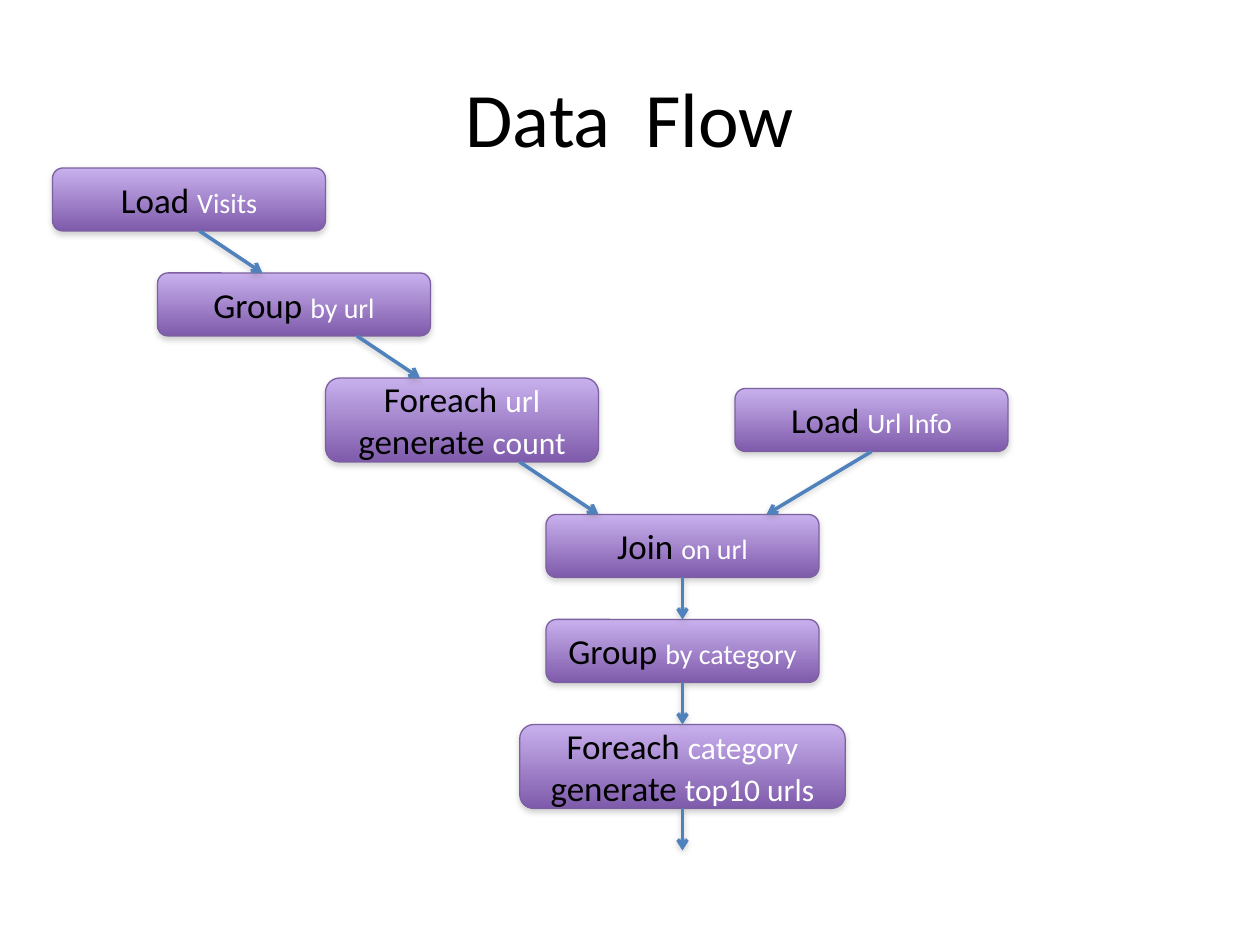
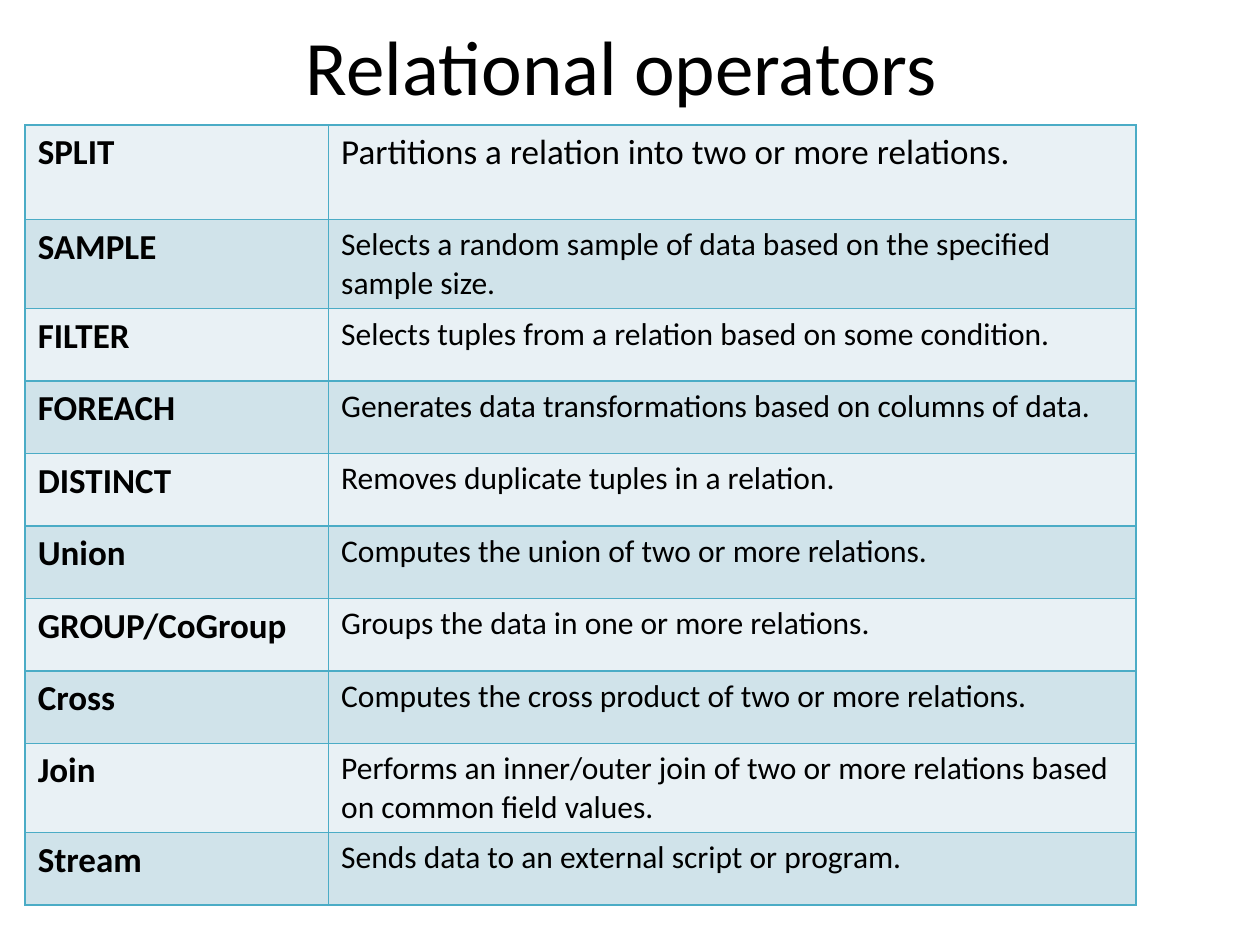
"""Build two slides: a query data flow and a table of relational operators."""
from dataclasses import dataclass
from typing import Any

from lxml.etree import SubElement
from pptx import Presentation
from pptx.dml.color import RGBColor
from pptx.enum.shapes import MSO_CONNECTOR, MSO_SHAPE
from pptx.enum.text import MSO_ANCHOR, PP_ALIGN
from pptx.oxml.ns import qn
from pptx.slide import Slide
from pptx.util import Emu, Pt

EMU_PER_PX = 7620
FONT = "Calibri"
BLACK = "000000"
WHITE = "FFFFFF"
STEP_TOP = "C8B0ED"
STEP_BOTTOM = "7F5BAB"
STEP_OUTLINE = "7D60A0"
ARROW_BLUE = "4F81BD"
SHADOW_GREY = "808080"
GRID_TEAL = "4BACC6"
ROW_BANDS = ("E9F1F5", "D0E3EA")

TABLE_LEFT, TABLE_TOP = 24, 119
COLUMN_WIDTHS = (289, 769)
ROW_HEIGHT = 69


@dataclass(frozen=True)
class Step:
    """One operation of the flow; each line pairs a keyword with its argument."""
    left: int
    top: int
    lines: tuple[tuple[str, str], ...]
    width: int = 260

    @property
    def height(self) -> int:
        return 60 if len(self.lines) == 1 else 80

    @property
    def bottom(self) -> int:
        return self.top + self.height

    @property
    def argument_size(self) -> int:
        return 16 if len(self.lines) == 1 else 18


@dataclass(frozen=True)
class Flow:
    """An arrow between two points."""
    start_x: int
    start_y: int
    end_x: int
    end_y: int


@dataclass(frozen=True)
class Operator:
    """A relational operator and how its table row is set."""
    keyword: str
    meaning: str
    meaning_size: int = 18
    height: int = ROW_HEIGHT


LOAD_VISITS = Step(50, 160, (("Load ", "Visits"),))
GROUP_URL = Step(150, 260, (("Group ", "by url"),))
COUNT_URL = Step(310, 360, (("Foreach ", "url"), ("generate ", "count")))
LOAD_INFO = Step(700, 370, (("Load ", "Url Info"),))
JOIN_URL = Step(520, 490, (("Join ", "on url"),))
GROUP_CATEGORY = Step(520, 590, (("Group ", "by category"),))
TOP_URLS = Step(495, 690, (("Foreach ", "category"), ("generate ", "top10 urls")), 310)
STEPS = (LOAD_VISITS, GROUP_URL, COUNT_URL, LOAD_INFO, JOIN_URL, GROUP_CATEGORY, TOP_URLS)

FLOWS = (
    Flow(190, LOAD_VISITS.bottom, 250, GROUP_URL.top),
    Flow(340, GROUP_URL.bottom, 400, COUNT_URL.top),
    Flow(495, COUNT_URL.bottom, 570, JOIN_URL.top),
    Flow(830, LOAD_INFO.bottom, 730, JOIN_URL.top),
    Flow(650, JOIN_URL.bottom, 650, GROUP_CATEGORY.top),
    Flow(650, GROUP_CATEGORY.bottom, 650, TOP_URLS.top),
    Flow(650, TOP_URLS.bottom, 650, TOP_URLS.bottom + 40),
)

OPERATORS = (
    Operator("SPLIT", "Partitions a relation into two or more relations.", 20, 90),
    Operator("SAMPLE", "Selects a random sample of data based on the specified sample size.",
             height=85),
    Operator("FILTER", "Selects tuples from a relation based on some condition."),
    Operator("FOREACH", "Generates data transformations based on columns of data."),
    Operator("DISTINCT", "Removes duplicate tuples in a relation."),
    Operator("Union", "Computes the union of two or more relations."),
    Operator("GROUP/CoGroup", "Groups the data in one or more relations."),
    Operator("Cross", "Computes the cross product of two or more relations."),
    Operator("Join", "Performs an inner/outer join of two or more relations based on "
             "common field values.", height=85),
    Operator("Stream", "Sends data to an external script or program."),
)


def px(length: int) -> Emu:
    """Turn px into EMU."""
    return Emu(length * EMU_PER_PX)


def rgb(colour: str) -> RGBColor:
    """Turn a hex string into a colour."""
    return RGBColor.from_string(colour)


def style_run(run: Any, size: int, colour: str = BLACK, bold: bool = False) -> None:
    """Set the font of a run."""
    run.font.name = FONT
    run.font.size = Pt(size)
    run.font.bold = bold
    run.font.color.rgb = rgb(colour)


def add_shadow(part: Any, distance: int) -> None:
    """Cast a soft grey shadow straight down."""
    effects = SubElement(part.element.spPr, qn("a:effectLst"))
    shadow = SubElement(effects, qn("a:outerShdw"), blurRad="40000", dist=str(distance),
                        dir="5400000", rotWithShape="0")
    tint = SubElement(shadow, qn("a:srgbClr"), val=SHADOW_GREY)
    SubElement(tint, qn("a:alpha"), val="35000")


def add_title(slide: Slide, title: str, left: int, top: int, height: int) -> None:
    """Write the centred slide title."""
    frame = slide.shapes.add_textbox(px(left), px(top), px(1080), px(height)).text_frame
    frame.word_wrap = True
    frame.vertical_anchor = MSO_ANCHOR.MIDDLE
    frame.text = title
    heading = frame.paragraphs[0]
    heading.alignment = PP_ALIGN.CENTER
    style_run(heading.runs[0], 44)


def add_step(slide: Slide, step: Step) -> None:
    """Draw one operation as a rounded purple box."""
    box = slide.shapes.add_shape(MSO_SHAPE.ROUNDED_RECTANGLE, px(step.left), px(step.top),
                                 px(step.width), px(step.height))
    box.fill.gradient()
    box.fill.gradient_angle = 270
    for stop, colour in zip(box.fill.gradient_stops, (STEP_TOP, STEP_BOTTOM)):
        stop.color.rgb = rgb(colour)
    box.line.color.rgb = rgb(STEP_OUTLINE)
    box.line.width = Pt(0.75)
    add_shadow(box, 23000)
    frame = box.text_frame
    frame.word_wrap = True
    frame.vertical_anchor = MSO_ANCHOR.MIDDLE
    frame.text = "\n".join(keyword for keyword, _ in step.lines)
    for paragraph, (_, argument) in zip(frame.paragraphs, step.lines):
        paragraph.alignment = PP_ALIGN.CENTER
        style_run(paragraph.runs[0], 20)
        argument_run = paragraph.add_run()
        argument_run.text = argument
        style_run(argument_run, step.argument_size, WHITE)


def add_flow(slide: Slide, flow: Flow) -> None:
    """Draw one arrow of the flow."""
    arrow = slide.shapes.add_connector(MSO_CONNECTOR.STRAIGHT, px(flow.start_x), px(flow.start_y),
                                       px(flow.end_x), px(flow.end_y))
    arrow.line.color.rgb = rgb(ARROW_BLUE)
    arrow.line.width = Pt(2)
    SubElement(arrow.element.spPr.find(qn("a:ln")), qn("a:tailEnd"), type="arrow")
    add_shadow(arrow, 20000)


def fill_cell(cell: Any, text: str, size: int, bold: bool, band: str) -> None:
    """Write a table cell with its band colour and thin borders."""
    cell.text_frame.text = text
    style_run(cell.text_frame.paragraphs[0].runs[0], size, bold=bold)
    cell.fill.solid()
    cell.fill.fore_color.rgb = rgb(band)
    properties = cell._tc.get_or_add_tcPr()
    for position, side in enumerate(("lnL", "lnR", "lnT", "lnB")):
        border = SubElement(properties, qn(f"a:{side}"), w=str(Pt(1)))
        paint = SubElement(border, qn("a:solidFill"))
        SubElement(paint, qn("a:srgbClr"), val=GRID_TEAL)
        properties.insert(position, border)


def add_operators(slide: Slide) -> None:
    """Draw the table of operators."""
    total_height = sum(operator.height for operator in OPERATORS)
    table = slide.shapes.add_table(len(OPERATORS), len(COLUMN_WIDTHS), px(TABLE_LEFT),
                                   px(TABLE_TOP), px(sum(COLUMN_WIDTHS)), px(total_height)).table
    table.first_row = False
    table.horz_banding = False
    for column, width in zip(table.columns, COLUMN_WIDTHS):
        column.width = px(width)
    for index, (row, operator) in enumerate(zip(table.rows, OPERATORS)):
        row.height = px(operator.height)
        band = ROW_BANDS[index % 2]
        fill_cell(row.cells[0], operator.keyword, 20, True, band)
        fill_cell(row.cells[1], operator.meaning, operator.meaning_size, False, band)


def main() -> None:
    """Build and save the slides."""
    deck = Presentation()
    deck.slide_width, deck.slide_height = px(1200), px(900)
    blank = deck.slide_layouts[6]

    data_flow = deck.slides.add_slide(blank)
    add_title(data_flow, "Data  Flow", 60, 36, 150)
    for step in STEPS:
        add_step(data_flow, step)
    for flow in FLOWS:
        add_flow(data_flow, flow)

    operators = deck.slides.add_slide(blank)
    add_title(operators, "Relational operators", 52, 1, 121)
    add_operators(operators)

    deck.save("out.pptx")


if __name__ == "__main__":
    main()
